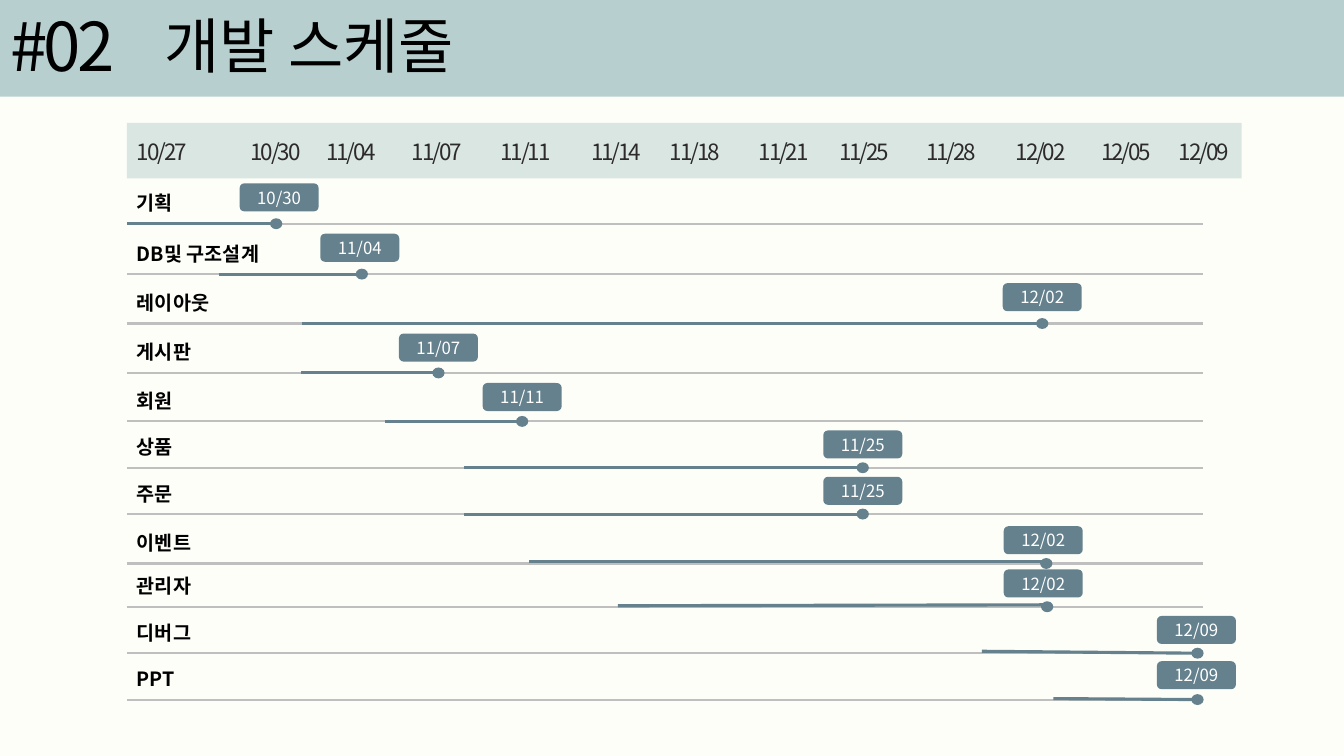
"""Build the development schedule slide as a Gantt-style timeline."""
import dataclasses
import typing

import pptx
import pptx.dml.color
import pptx.enum.shapes
import pptx.enum.text
import pptx.oxml
import pptx.oxml.ns
import pptx.util

Pt = pptx.util.Pt
qn = pptx.oxml.ns.qn
SHAPE = pptx.enum.shapes.MSO_SHAPE
ALIGN = pptx.enum.text.PP_ALIGN
ANCHOR = pptx.enum.text.MSO_ANCHOR
AUTO_SIZE = pptx.enum.text.MSO_AUTO_SIZE

FONT = "Noto Sans CJK KR"
PAPER, MIST, SLATE, GRAY = "FDFEF8", "B7CFCE", "64818D", "BFBFBF"
BLACK, INK, WHITE = "000000", "2C2A2A", "FFFFFF"
TRACK_LEFT, TRACK_RIGHT = 90.7, 859
DOT_WIDTH, DOT_HEIGHT = 8.8, 7.8
BADGE_WIDTH, BADGE_HEIGHT = 56.4, 20
LABEL_LIFT = 26.8


@dataclasses.dataclass(frozen=True)
class DateMark:
    text: str
    center: float


@dataclasses.dataclass(frozen=True)
class Task:
    name: str
    due: str
    track: float
    start: float
    finish: float
    badge_center: float
    badge_lift: float
    start_lift: float = 0
    finish_lift: float = 0


DATE_MARKS = [
    DateMark("10/27", 115.6), DateMark("10/30", 196.9), DateMark("11/04", 250.9),
    DateMark("11/07", 312.1), DateMark("11/11", 375.5), DateMark("11/14", 440.3),
    DateMark("11/18", 496.4), DateMark("11/21", 559.8), DateMark("11/25", 617.4),
    DateMark("11/28", 679.3), DateMark("12/02", 743.4), DateMark("12/05", 804.6),
    DateMark("12/09", 860),
]
TASKS = [
    Task("기획", "10/30", 159.8, 90.7, 197.3, 199.4, 28.8),
    Task("DB및 구조설계", "11/04", 195.8, 156.2, 258.5, 257, 28.8),
    Task("레이아웃", "12/02", 231.1, 216, 744.5, 744.5, 28.8),
    Task("게시판", "11/07", 266.4, 215.3, 313.2, 313.2, 28.1),
    Task("회원", "11/11", 301, 275, 373, 373, 27.4),
    Task("상품", "11/25", 334.1, 331.2, 616.3, 616.3, 26.6),
    Task("주문", "11/25", 367.2, 331.2, 616.3, 616.3, 26.6),
    Task("이벤트", "12/02", 402.5, 378, 747.4, 745.2, 26.6, 1.4, 1.4),
    Task("관리자", "12/02", 433.4, 441.4, 748, 745.2, 26.6, 0.7, 1.4),
    Task("디버그", "12/09", 466.6, 701.3, 855.4, 854.6, 26.6, 1.4),
    Task("PPT", "12/09", 499.7, 752.4, 855.4, 854.6, 27.4, 0.7),
]


def paint(color_format: typing.Any, color: str) -> None:
    color_format.rgb = pptx.dml.color.RGBColor.from_string(color)


def write(frame: typing.Any, text: str, size: float, color: str, align: typing.Any = ALIGN.LEFT,
          bold: bool = False, tracking: float = 0) -> typing.Any:
    paragraph = frame.paragraphs[0]
    paragraph.text = text
    paragraph.alignment = align
    font = paragraph.font
    font.name, font.size, font.bold = FONT, Pt(size), bold
    paint(font.color, color)
    defaults = paragraph._p.pPr.find(qn("a:defRPr"))
    defaults.find(qn("a:latin")).addnext(
        pptx.oxml.parse_xml(f'<a:ea {pptx.oxml.ns.nsdecls("a")} typeface="{FONT}"/>'))
    if tracking:
        defaults.set("spc", str(round(tracking * 100)))
    return paragraph


def add_block(shapes: typing.Any, kind: typing.Any, left: float, top: float, width: float,
              height: float, color: str) -> typing.Any:
    block = shapes.add_shape(kind, Pt(left), Pt(top), Pt(width), Pt(height))
    block.shadow.inherit = False
    block.fill.solid()
    paint(block.fill.fore_color, color)
    block.line.fill.background()
    return block


def add_line(shapes: typing.Any, left: float, top: float, right: float, bottom: float,
             color: str, weight: float) -> None:
    line = shapes.add_connector(pptx.enum.shapes.MSO_CONNECTOR.STRAIGHT,
                                Pt(left), Pt(top), Pt(right), Pt(bottom))
    paint(line.line.color, color)
    line.line.width = Pt(weight)
    line._element.spPr.append(
        pptx.oxml.parse_xml(f'<a:effectLst {pptx.oxml.ns.nsdecls("a")}/>'))


def add_text(shapes: typing.Any, left: float, top: float, width: float, height: float,
             wrap: bool = True) -> typing.Any:
    frame = shapes.add_textbox(Pt(left), Pt(top), Pt(width), Pt(height)).text_frame
    frame.word_wrap = wrap
    frame.auto_size = AUTO_SIZE.SHAPE_TO_FIT_TEXT
    return frame


def add_heading(shapes: typing.Any) -> None:
    add_block(shapes, SHAPE.RECTANGLE, 0, 0, 960, 69.1, MIST)
    heading = shapes.title
    shapes.element.append(heading.element)
    heading.left, heading.top, heading.width, heading.height = Pt(110.2), Pt(7.9), Pt(438.5), Pt(55.4)
    heading.text_frame.vertical_anchor = ANCHOR.TOP
    heading.text_frame.auto_size = AUTO_SIZE.NONE
    write(heading.text_frame, "개발 스케줄", 42.9, BLACK).line_spacing = 0.9
    number = add_text(shapes, 0.7, 5.8, 126, 56.2)
    number.auto_size = AUTO_SIZE.NONE
    write(number, "#02", 48, BLACK, tracking=-3).line_spacing = 0.9


def add_dates(shapes: typing.Any) -> None:
    band = add_block(shapes, SHAPE.RECTANGLE, TRACK_LEFT, 87.8, 796.3, 39.6, MIST)
    band._element.spPr.find(f".//{qn('a:srgbClr')}").append(
        pptx.oxml.parse_xml(f'<a:alpha {pptx.oxml.ns.nsdecls("a")} val="50000"/>'))
    for mark in DATE_MARKS:
        frame = add_text(shapes, mark.center - 26.3, 95.4, 52.6, 26.6, wrap=False)
        write(frame, mark.text, 16, INK, ALIGN.CENTER, tracking=-1.5)


def add_task(shapes: typing.Any, task: Task) -> None:
    add_line(shapes, TRACK_LEFT, task.track, TRACK_RIGHT, task.track, GRAY, 1.5)
    add_line(shapes, task.start, task.track - task.start_lift,
             task.finish, task.track - task.finish_lift, SLATE, 2.25)
    add_block(shapes, SHAPE.OVAL, task.finish - DOT_WIDTH / 2, task.track - DOT_HEIGHT / 2,
              DOT_WIDTH, DOT_HEIGHT, SLATE)
    badge = add_block(shapes, SHAPE.ROUNDED_RECTANGLE, task.badge_center - BADGE_WIDTH / 2,
                      task.track - task.badge_lift, BADGE_WIDTH, BADGE_HEIGHT, SLATE)
    badge.text_frame.vertical_anchor = ANCHOR.MIDDLE
    write(badge.text_frame, task.due, 12, WHITE, ALIGN.CENTER)
    label = add_text(shapes, TRACK_LEFT, task.track - LABEL_LIFT, 112, 24.5)
    write(label, task.name, 14, BLACK, bold=True)


def main() -> None:
    deck = pptx.Presentation()
    deck.slide_width, deck.slide_height = Pt(960), Pt(540)
    slide = deck.slides.add_slide(deck.slide_layouts.get_by_name("Title Only"))
    slide.background.fill.solid()
    paint(slide.background.fill.fore_color, PAPER)
    add_heading(slide.shapes)
    add_dates(slide.shapes)
    for task in TASKS:
        add_task(slide.shapes, task)
    deck.save("out.pptx")


if __name__ == "__main__":
    main()
